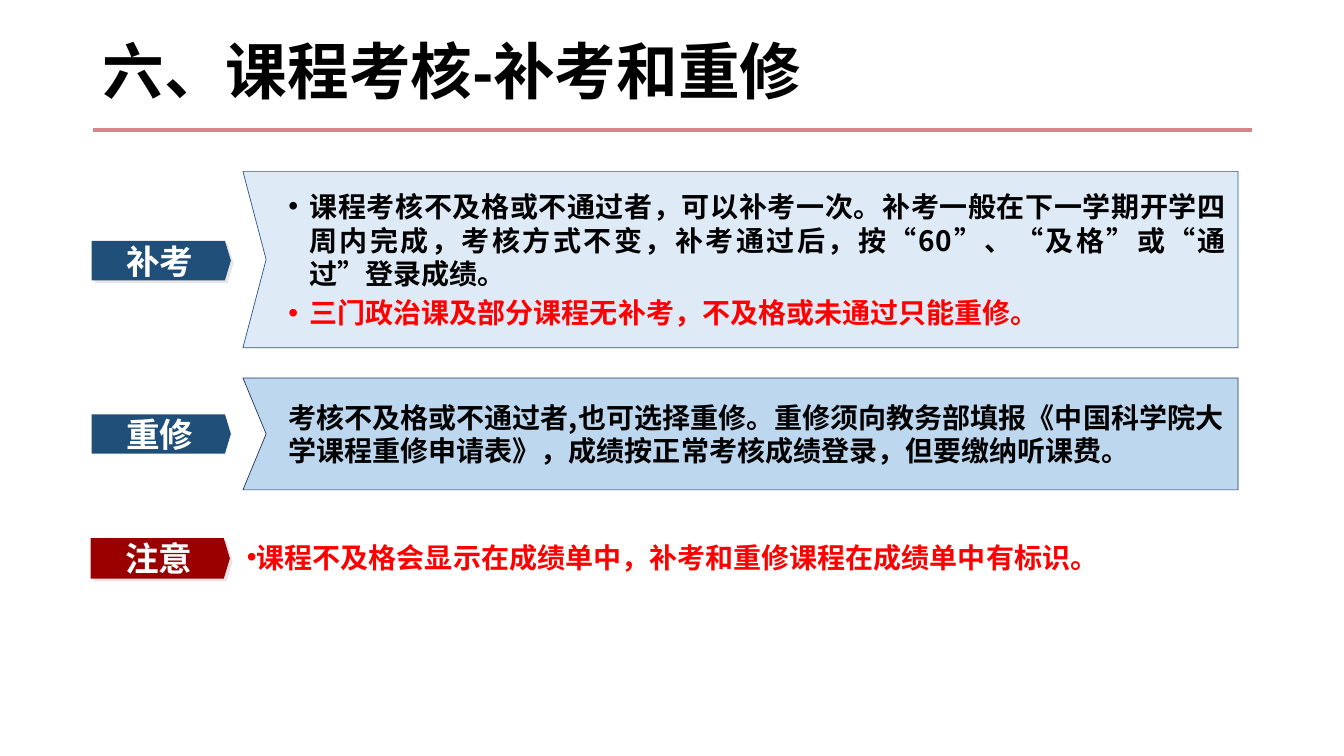
from dataclasses import dataclass

from lxml import etree
from pptx import Presentation
from pptx.dml.color import RGBColor
from pptx.enum.shapes import MSO_CONNECTOR, MSO_SHAPE
from pptx.enum.text import MSO_ANCHOR, PP_ALIGN
from pptx.oxml.ns import qn
from pptx.shapes.autoshape import Shape
from pptx.slide import Slide
from pptx.text.text import TextFrame
from pptx.util import Inches, Pt

STRAIGHT = MSO_CONNECTOR.STRAIGHT
HOME_PLATE = MSO_SHAPE.PENTAGON
TOP, MIDDLE = MSO_ANCHOR.TOP, MSO_ANCHOR.MIDDLE
LEFT, CENTER, JUSTIFY = PP_ALIGN.LEFT, PP_ALIGN.CENTER, PP_ALIGN.JUSTIFY

COLORS = {
    "black": "000000",
    "white": "FFFFFF",
    "red": "FF0000",
    "rule": "D9848B",
    "navy": "1F4E79",
    "crimson": "9A0000",
    "pale": "DEEBF7",
    "sky": "BDD7EE",
    "blue_edge": "2F5597",
    "dark_edge": "203864",
    "shadow": "E7E6E6",
}
CJK_FONT = "Noto Sans CJK SC"
PANEL_LEFT, PANEL_RIGHT, NOTCH = 2.41, 12.28, 0.23


@dataclass(frozen=True)
class Tag:
    text: str
    left: float
    top: float
    height: float
    fill: str
    font: str = CJK_FONT
    shadow: bool = False


@dataclass(frozen=True)
class Panel:
    top: float
    height: float
    fill: str
    edge: str


@dataclass(frozen=True)
class Line:
    text: str
    color: str = "black"


@dataclass(frozen=True)
class Body:
    left: float
    top: float
    width: float
    height: float
    lines: tuple[Line, ...]
    font: str = CJK_FONT
    align: PP_ALIGN = LEFT
    anchor: MSO_ANCHOR = MIDDLE
    margin: float = 0
    bullet: bool = False
    indent: float = 0


PANELS = (
    Panel(1.7, 1.75, "pale", "blue_edge"),
    Panel(3.75, 1.11, "sky", "dark_edge"),
)
TAGS = (
    Tag("补考", 0.91, 2.39, 0.39, "navy", shadow=True),
    Tag("重修", 0.91, 4.11, 0.39, "navy"),
    Tag("注意", 0.9, 5.34, 0.4, "crimson", "Arial", True),
)
BODIES = (
    Body(2.86, 1.87, 9.3, 1.41, (
        Line("课程考核不及格或不通过者，可以补考一次。补考一般在下一学期开学四周内完成，"
             "考核方式不变，补考通过后，按“60”、“及格”或“通过”登录成绩。"),
        Line("三门政治课及部分课程无补考，不及格或未通过只能重修。", "red"),
    ), align=JUSTIFY, bullet=True, indent=0.21),
    Body(2.86, 3.97, 9.3, 0.67, (
        Line("考核不及格或不通过者,也可选择重修。重修须向教务部填报《中国科学院大学课程重修申请表》，"
             "成绩按正常考核成绩登录，但要缴纳听课费。"),
    )),
    Body(2.35, 5.31, 9.12, 0.44, (
        Line("课程不及格会显示在成绩单中，补考和重修课程在成绩单中有标识。", "red"),
    ), font="Calibri", anchor=TOP, margin=0.1, bullet=True),
)


def rgb(name: str) -> RGBColor:
    return RGBColor.from_string(COLORS[name])


def set_frame(frame: TextFrame, *, anchor: MSO_ANCHOR, side: float = 0, edge: float = 0) -> None:
    frame.word_wrap = True
    frame.vertical_anchor = anchor
    frame.margin_left = frame.margin_right = Inches(side)
    frame.margin_top = frame.margin_bottom = Inches(edge)


def write_text(frame: TextFrame, text: str, *, size: float, color: str, font: str = CJK_FONT,
               align: PP_ALIGN = LEFT, spacing: float | Pt | None = None,
               bullet: bool = False, indent: float = 0) -> None:
    first = not frame.text
    para = frame.paragraphs[0] if first else frame.add_paragraph()
    if bullet:
        properties = para._p.get_or_add_pPr()
        properties.set("marL", str(Inches(indent)))
        properties.set("indent", str(-Inches(indent)))
        etree.SubElement(properties, qn("a:buFont")).set("typeface", "Arial")
        etree.SubElement(properties, qn("a:buChar")).set("char", "•")
    para.alignment = align
    para.line_spacing = spacing
    if not first:
        para.space_before = Pt(4)
    span = para.add_run()
    span.text = text
    span.font.size = Pt(size)
    span.font.bold = True
    span.font.name = font
    span.font.color.rgb = rgb(color)
    etree.SubElement(span._r.get_or_add_rPr(), qn("a:ea")).set("typeface", CJK_FONT)


def add_shadow(shape: Shape) -> None:
    effects = shape._element.spPr.find(qn("a:effectLst"))
    shadow = etree.SubElement(effects, qn("a:outerShdw"), dist=str(Pt(2.8)), dir="2700000")
    etree.SubElement(shadow, qn("a:srgbClr")).set("val", COLORS["shadow"])


def draw_title(page: Slide) -> None:
    box = page.shapes.add_textbox(Inches(0.92), Inches(0.19), Inches(11.5), Inches(1.1))
    set_frame(box.text_frame, anchor=MIDDLE, side=0.1, edge=0.05)
    write_text(box.text_frame, "六、课程考核-补考和重修", size=44, color="black",
               font="Arial", spacing=0.9)
    rule = page.shapes.add_connector(STRAIGHT, Inches(0.92), Inches(1.29),
                                     Inches(12.42), Inches(1.29))
    rule.line.color.rgb = rgb("rule")
    rule.line.width = Pt(3)
    etree.SubElement(rule._element.spPr, qn("a:effectLst"))


def draw_panel(page: Slide, panel: Panel) -> None:
    bottom = panel.top + panel.height
    corners = (
        (PANEL_LEFT, panel.top),
        (PANEL_LEFT + NOTCH, panel.top + panel.height / 2),
        (PANEL_LEFT, bottom),
        (PANEL_RIGHT, bottom),
    )
    outline = page.shapes.build_freeform(Inches(PANEL_RIGHT), Inches(panel.top))
    outline.add_line_segments([(Inches(x), Inches(y)) for x, y in corners], close=True)
    shape = outline.convert_to_shape()
    shape.shadow.inherit = False
    shape.fill.solid()
    shape.fill.fore_color.rgb = rgb(panel.fill)
    shape.line.color.rgb = rgb(panel.edge)
    shape.line.width = Pt(0.5)


def draw_tag(page: Slide, tag: Tag) -> None:
    shape = page.shapes.add_shape(HOME_PLATE, Inches(tag.left), Inches(tag.top),
                                  Inches(1.38), Inches(tag.height))
    shape.adjustments[0] = 0.15
    shape.shadow.inherit = False
    shape.fill.solid()
    shape.fill.fore_color.rgb = rgb(tag.fill)
    shape.line.fill.background()
    if tag.shadow:
        add_shadow(shape)
    set_frame(shape.text_frame, anchor=MIDDLE)
    write_text(shape.text_frame, tag.text, size=24, color="white", font=tag.font, align=CENTER)


def draw_body(page: Slide, body: Body) -> None:
    box = page.shapes.add_textbox(Inches(body.left), Inches(body.top),
                                  Inches(body.width), Inches(body.height))
    set_frame(box.text_frame, anchor=body.anchor, side=body.margin, edge=body.margin / 2)
    for line in body.lines:
        write_text(box.text_frame, line.text, size=20, color=line.color, font=body.font,
                   align=body.align, spacing=Pt(24), bullet=body.bullet, indent=body.indent)


def main() -> None:
    deck = Presentation()
    deck.slide_width, deck.slide_height = Inches(13.33), Inches(7.5)
    page = deck.slides.add_slide(deck.slide_layouts[6])
    draw_title(page)
    for panel in PANELS:
        draw_panel(page, panel)
    for tag in TAGS:
        draw_tag(page, tag)
    for body in BODIES:
        draw_body(page, body)
    deck.save("out.pptx")


if __name__ == "__main__":
    main()
